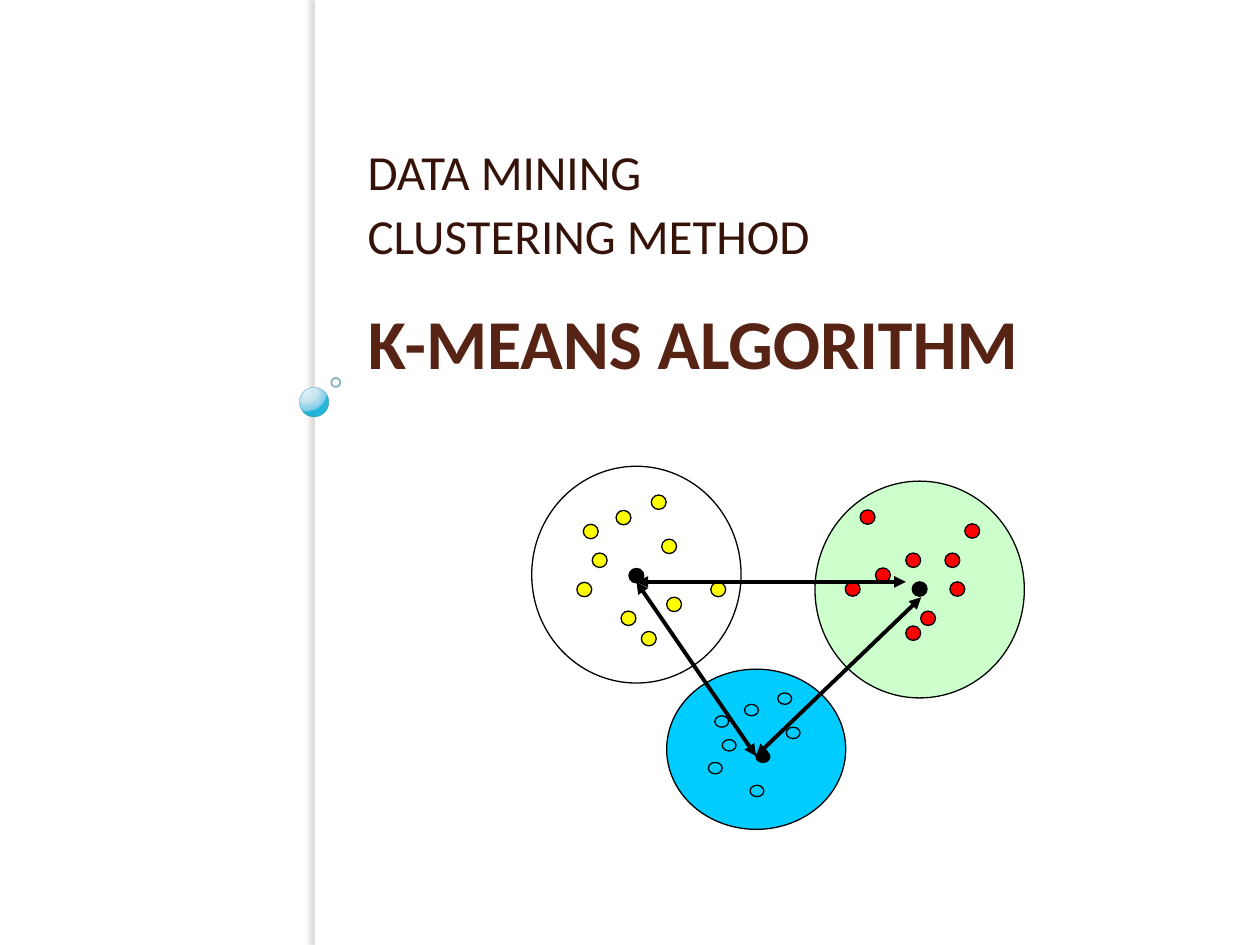
from lxml.etree import SubElement, fromstring
from pptx import Presentation
from pptx.dml.color import RGBColor
from pptx.enum.shapes import MSO_CONNECTOR, MSO_SHAPE
from pptx.enum.text import MSO_ANCHOR, PP_ALIGN
from pptx.oxml.ns import nsdecls, qn
from pptx.util import Cm, Pt

WHITE = RGBColor(0xFF, 0xFF, 0xFF)
BLACK = RGBColor(0, 0, 0)
BROWN = RGBColor(0x57, 0x23, 0x14)
DARK = RGBColor(0x36, 0x13, 0x09)
YELLOW = RGBColor(0xFF, 0xFF, 0)
RED = RGBColor(0xFF, 0, 0)
GREEN = RGBColor(0xCC, 0xFF, 0xCC)
BLUE = RGBColor(0, 0xCC, 0xFF)
TEAL = RGBColor(0x30, 0x8E, 0xA5)
RING = RGBColor(0x31, 0x80, 0x93)
FONT = "Calibri"

# Cluster parts: box, dot size, centre dot and dots from the box corner, in cm
CLUSTERS = [
    ((10.72, 9.4, 4.22, 4.37), (0.3, 0.29), WHITE, YELLOW, (1.96, 2.06),
     [(1.04, 1.17), (1.7, 0.89), (2.62, 1.47), (1.8, 2.92), (3.61, 2.34),
      (1.22, 1.75), (2.41, 0.58), (0.91, 2.34), (2.21, 3.33), (2.72, 2.64)]),
    ((16.43, 9.7, 4.22, 4.37), (0.3, 0.29), GREEN, RED, (1.96, 2.03),
     [(0.91, 0.58), (1.83, 1.45), (2.62, 1.45), (1.83, 2.92), (2.72, 2.03),
      (1.22, 1.75), (3.02, 0.86), (0.61, 2.03), (2.13, 2.62)]),
    ((13.44, 13.49, 3.61, 3.23), (0.28, 0.23), BLUE, BLUE, (1.8, 1.65),
     [(0.97, 0.94), (1.57, 0.71), (2.41, 1.17), (1.68, 2.34), (1.12, 1.42),
      (2.24, 0.48), (0.84, 1.88)]),
]
ARROWS = [((12.83, 11.73), (15.24, 15.24)),
          ((15.24, 15.24), (18.57, 12.04)),
          ((18.26, 11.73), (12.83, 11.73))]


def add_form(slide, kind, box, fill=None, line=None, width=0.75):
    form = slide.shapes.add_shape(kind, *map(Cm, box))
    form.shadow.inherit = False
    if fill is None:
        form.fill.background()
    else:
        form.fill.solid()
        form.fill.fore_color.rgb = fill
    if line is None:
        form.line.fill.background()
    else:
        form.line.color.rgb = line
        form.line.width = Pt(width)
    return form


def fade_line(form, share):
    color = form.line._ln.find(".//" + qn("a:srgbClr"))
    SubElement(color, qn("a:alpha"), val=str(share * 1000))


def add_rail(slide, box):
    left, top, wide, high = box
    # White strip with a soft shadow on its left
    strip = add_form(slide, MSO_SHAPE.RECTANGLE, box, WHITE)
    strip._element.spPr.find(qn("a:effectLst")).append(fromstring(
        f'<a:outerShdw {nsdecls("a")} blurRad="{Pt(3)}" dist="{Pt(3)}" '
        'dir="10800000" algn="tl" rotWithShape="0">'
        '<a:srgbClr val="736F63"><a:alpha val="25000"/></a:srgbClr>'
        '</a:outerShdw>'))
    # Glossy bubble
    ball = add_form(slide, MSO_SHAPE.OVAL,
                    (left - 0.31, top + 7.81, 0.59, 0.59), WHITE, TEAL, 0.16)
    fade_line(ball, 60)
    stops = [(0, "DAF4FF", 95), (50, "C3E3F0", 90),
             (95, "6BC7E8", 88), (100, "00ABD5", 85)]
    marks = "".join(
        f'<a:gs pos="{pos * 1000}"><a:srgbClr val="{color}">'
        f'<a:alpha val="{share * 1000}"/></a:srgbClr></a:gs>'
        for pos, color, share in stops)
    props = ball._element.spPr
    props.replace(props.find(qn("a:solidFill")), fromstring(
        f'<a:gradFill {nsdecls("a")} rotWithShape="1"><a:gsLst>{marks}</a:gsLst>'
        '<a:path path="circle"><a:fillToRect l="25000" t="12000" '
        'r="75000" b="88000"/></a:path></a:gradFill>'))
    # Small ring
    ring = add_form(slide, MSO_SHAPE.OVAL,
                    (left + 0.33, top + 7.62, 0.18, 0.18), None, RING, 1)
    fade_line(ring, 60)


def place(shape, box):
    shape.left, shape.top, shape.width, shape.height = map(Cm, box)


def style(para, size, color, bold, after):
    para.alignment = PP_ALIGN.LEFT
    para.space_after = Pt(after)
    for run in para.runs:
        run.font.name = FONT
        run.font.size = Pt(size)
        run.font.bold = bold
        run.font.color.rgb = color


def add_heads(slide, box):
    left, top, wide, high = box
    # Title
    title = slide.shapes.title
    place(title, (left + 0.05, top + 3.2, wide, 5.21))
    frame = title.text_frame
    frame.text = "K-MEANS ALGORITHM"
    frame.word_wrap = True
    frame.vertical_anchor = MSO_ANCHOR.TOP
    style(frame.paragraphs[0], 40, BROWN, True, 12)
    # Topic lines
    topic = slide.shapes.add_textbox(0, 0, 0, 0)
    place(topic, (left, top, wide, 2.74))
    frame = topic.text_frame
    frame.text = "DATA MINING\nCLUSTERING METHOD"
    frame.word_wrap = True
    frame.vertical_anchor = MSO_ANCHOR.BOTTOM
    frame.margin_left = Cm(0.3)
    for para in frame.paragraphs:
        para.line_spacing = 0.9
        style(para, 28, DARK, False, 6)


def add_cluster(slide, box, size, fill, color, mid, dots):
    left, top = box[:2]
    add_form(slide, MSO_SHAPE.OVAL, box, fill, BLACK)
    for (x, y), tint in [(dot, color) for dot in dots] + [(mid, BLACK)]:
        add_form(slide, MSO_SHAPE.OVAL, (left + x, top + y, *size), tint, BLACK)


def add_arrow(slide, start, end):
    arrow = slide.shapes.add_connector(
        MSO_CONNECTOR.STRAIGHT, *map(Cm, start + end))
    arrow.line.color.rgb = BLACK
    arrow.line.width = Pt(2.25)
    for tag in ("a:headEnd", "a:tailEnd"):
        SubElement(arrow.line._ln, qn(tag), type="triangle")
    SubElement(arrow._element.spPr, qn("a:effectLst"))


def main():
    deck = Presentation()
    deck.slide_width, deck.slide_height = Cm(25.4), Cm(19.05)
    slide = deck.slides.add_slide(deck.slide_layouts[5])
    add_rail(slide, (6.35, 0, 0.2, 19.05))
    add_heads(slide, (7.11, 2.72, 17.78, 8.41))
    for cluster in CLUSTERS:
        add_cluster(slide, *cluster)
    for start, end in ARROWS:
        add_arrow(slide, start, end)
    deck.save("out.pptx")


main()
